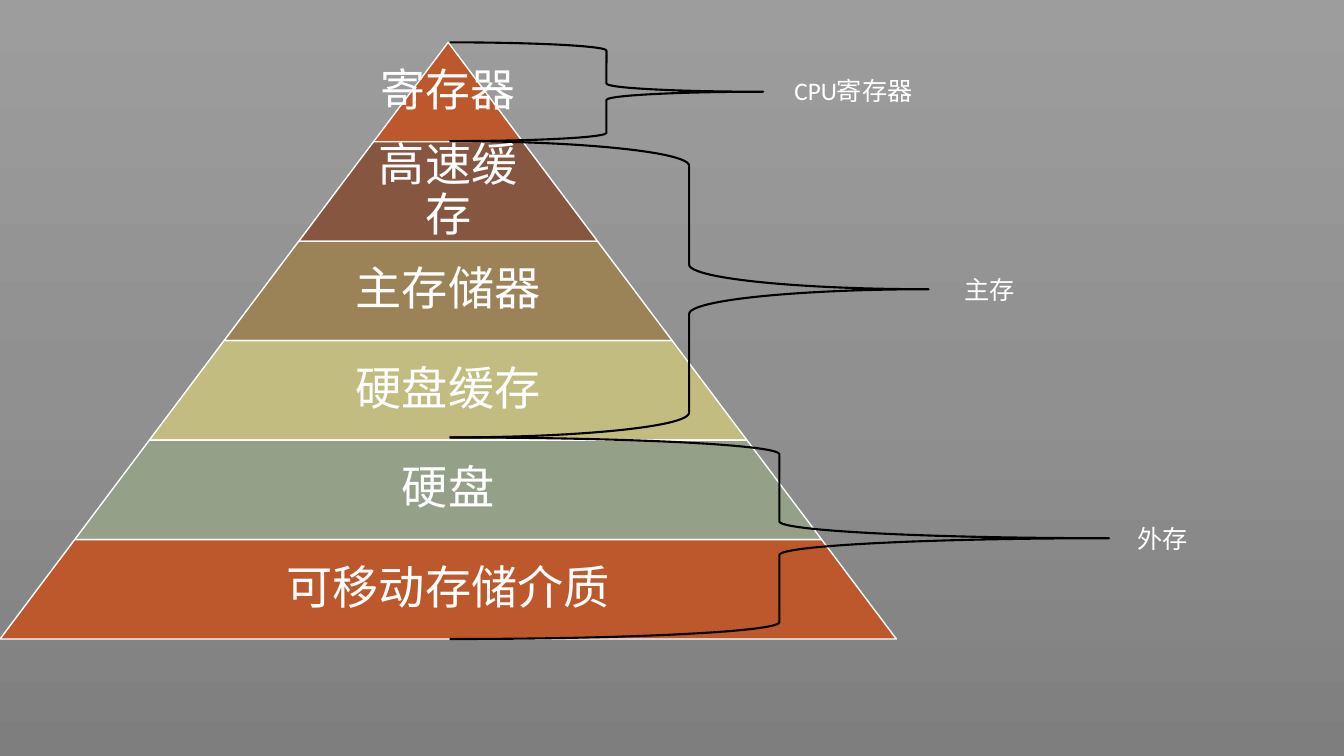
import copy
from dataclasses import dataclass

import pptx
import pptx.chart.data
import pptx.dml.color
import pptx.enum.shapes
import pptx.enum.text
import pptx.util

Inches = pptx.util.Inches
Pt = pptx.util.Pt
RGBColor = pptx.dml.color.RGBColor
Kind = pptx.enum.shapes.MSO_SHAPE
Align = pptx.enum.text.PP_ALIGN
Anchor = pptx.enum.text.MSO_ANCHOR
Fit = pptx.enum.text.MSO_AUTO_SIZE

WHITE = RGBColor(0xFF, 0xFF, 0xFF)
BLACK = RGBColor(0x00, 0x00, 0x00)
BASE = RGBColor(0x45, 0x45, 0x45)
RUST = RGBColor(0xBD, 0x58, 0x2C)
BROWN = RGBColor(0x86, 0x56, 0x40)
TAN = RGBColor(0x9B, 0x83, 0x57)
KHAKI = RGBColor(0xC2, 0xBC, 0x80)
SAGE = RGBColor(0x94, 0xA0, 0x88)
GREYS = (
    RGBColor(0x9D, 0x9D, 0x9D),
    RGBColor(0x90, 0x90, 0x90),
    RGBColor(0x7C, 0x7C, 0x7C),
)
FONT = "Calibri"


@dataclass(frozen=True)
class Box:
    left: float
    top: float
    wide: float
    high: float

    def lengths(self) -> tuple:
        return tuple(map(Inches, (self.left, self.top, self.wide, self.high)))


@dataclass(frozen=True)
class Level:
    text: str
    fill: RGBColor
    size: int = 33
    inset: float = 0.05
    share: float = 0.65


@dataclass(frozen=True)
class Group:
    text: str
    top: float
    high: float
    wide: float
    label: Box


LEVELS = (
    Level("寄存器", RUST, 32, 0.04, 1),
    Level("高速缓存", BROWN),
    Level("主存储器", TAN),
    Level("硬盘缓存", KHAKI),
    Level("硬盘", SAGE),
    Level("可移动存储介质", RUST),
)
GROUPS = (
    Group("CPU寄存器", 0.42, 0.98, 3.11, Box(7.78, 0.7, 1.42, 0.4)),
    Group("主存", 1.4, 2.94, 4.75, Box(9.47, 2.67, 1.6, 0.4)),
    Group("外存", 4.34, 2, 6.54, Box(11.18, 5.14, 0.71, 0.4)),
)
PEAK = 0.42
SPAN = 8.89
HIGH = (6.34 - PEAK) / len(LEVELS)
STEP = SPAN / 2 / len(LEVELS)
BRACE = 4.46


def add_shape(slide, kind, box: Box, line: RGBColor, width: float):
    shape = slide.shapes.add_shape(kind, *box.lengths())
    shape.shadow.inherit = False
    shape.line.color.rgb = line
    shape.line.width = Pt(width)
    return shape


def add_text(slide, box: Box, text: str, size: int):
    frame = slide.shapes.add_textbox(*box.lengths()).text_frame
    frame.word_wrap = True
    run = frame.paragraphs[0].add_run()
    run.text = text
    run.font.name = FONT
    run.font.size = Pt(size)
    run.font.color.rgb = WHITE
    return frame


def add_back(slide) -> None:
    fill = slide.background.fill
    fill.solid()
    fill.fore_color.rgb = BASE
    box = Box(-0.07, -0.07, 13.41, 8.04)
    fill = add_shape(slide, Kind.RECTANGLE, box, BLACK, 0.5).fill
    fill.gradient()
    fill.gradient_angle = 270
    first = fill.gradient_stops[0]._gs
    first.addnext(copy.deepcopy(first))
    for rank, (stop, grey) in enumerate(zip(fill.gradient_stops, GREYS)):
        stop.position = rank / 2
        stop.color.rgb = grey


def add_level(slide, rank: int, level: Level) -> None:
    wide = 2 * STEP * (rank + 1)
    top = PEAK + HIGH * rank
    box = Box((SPAN - wide) / 2, top, wide, HIGH)
    shape = add_shape(slide, Kind.TRAPEZOID, box, WHITE, 1)
    shape.adjustments[0] = STEP / HIGH
    shape.fill.solid()
    shape.fill.fore_color.rgb = level.fill
    room = wide * level.share
    box = Box((SPAN - room) / 2, top, room, HIGH)
    frame = add_text(slide, box, level.text, level.size)
    frame.vertical_anchor = Anchor.MIDDLE
    frame.margin_left = frame.margin_right = Inches(level.inset)
    frame.margin_top = frame.margin_bottom = Inches(level.inset)
    frame.paragraphs[0].alignment = Align.CENTER
    frame.paragraphs[0].line_spacing = 0.9


def add_group(slide, group: Group) -> None:
    box = Box(BRACE, group.top, group.wide, group.high)
    shape = add_shape(slide, Kind.RIGHT_BRACE, box, BLACK, 1.5)
    shape.fill.background()
    frame = add_text(slide, group.label, group.text, 18)
    frame.auto_size = Fit.SHAPE_TO_FIT_TEXT


def main() -> None:
    deck = pptx.Presentation()
    deck.slide_width = Inches(13.33)
    deck.slide_height = Inches(7.5)
    slide = deck.slides.add_slide(deck.slide_layouts[6])
    add_back(slide)
    for rank, level in enumerate(LEVELS):
        add_level(slide, rank, level)
    for group in GROUPS:
        add_group(slide, group)
    deck.save("out.pptx")


main()
